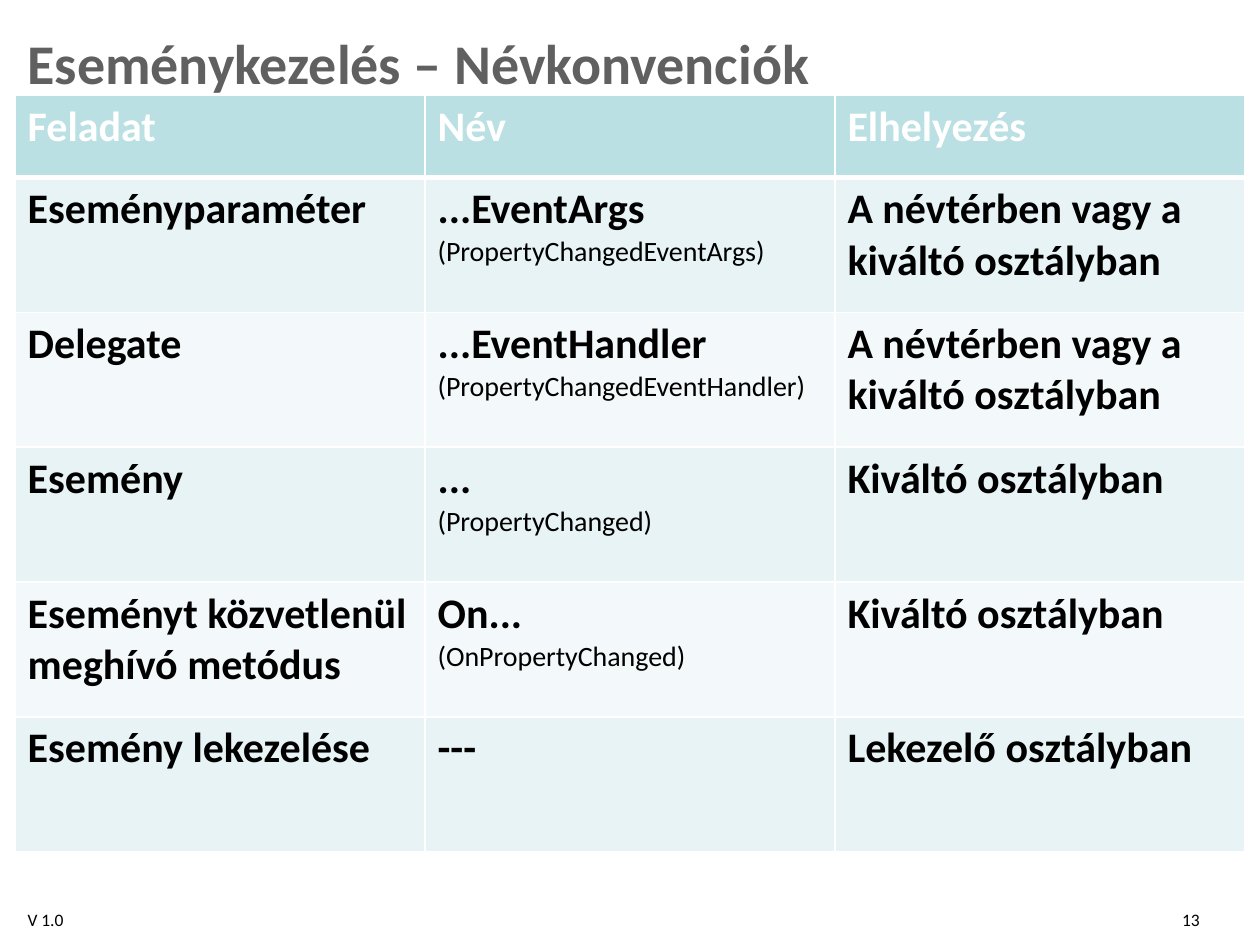
"""Builds a slide with a table of naming conventions for event handling."""
from lxml import etree
from pptx import Presentation, util as u
from pptx.dml.color import RGBColor
from pptx.enum import text
from pptx.oxml.ns import qn

COLORS = {
    "title": "606060", "body": "000000", "white": "FFFFFF",
    "header": "BBE0E3", "odd": "E7F3F4", "even": "F3F9FA",
}
TITLE = "Eseménykezelés – Névkonvenciók"
ROWS = [
    [["Feladat"], ["Név"], ["Elhelyezés"]],
    [["Eseményparaméter"], ["...EventArgs", "(PropertyChangedEventArgs)"],
     ["A névtérben vagy a kiváltó osztályban"]],
    [["Delegate"], ["...EventHandler", "(PropertyChangedEventHandler)"],
     ["A névtérben vagy a kiváltó osztályban"]],
    [["Esemény"], ["...", "(PropertyChanged)"], ["Kiváltó osztályban"]],
    [["Eseményt közvetlenül meghívó metódus"], ["On...", "(OnPropertyChanged)"],
     ["Kiváltó osztályban"]],
    [["Esemény lekezelése"], ["---"], ["Lekezelő osztályban"]],
]
LEFT, TOP, WIDTH = 0.12, 0.76, 9.76
HEADER_HEIGHT, ROW_HEIGHT = 0.65, 1.07
LABELS = [
    (TITLE, (LEFT, 0.13, WIDTH, 0.63), 32, "title", True, "LEFT"),
    ("V 1.0", (LEFT, 7.18, 0.79, 0.2), 10, "body", False, "LEFT"),
    ("13", (8.31, 7.18, 1.31, 0.2), 10, "body", False, "RIGHT"),
]


def write(para, words, size, color, bold, align="LEFT"):
    para.alignment = getattr(text.PP_ALIGN, align)
    span = para.add_run()
    span.text = words
    for name, value in {"name": "Calibri", "size": u.Pt(size), "bold": bold}.items():
        setattr(span.font, name, value)
    span.font.color.rgb = RGBColor.from_string(COLORS[color])


def add_label(page, words, place, size, color, bold, align):
    frame = page.shapes.add_textbox(*map(u.Inches, place)).text_frame
    layout = {"word_wrap": True, "margin_top": 0, "margin_bottom": 0,
              "vertical_anchor": text.MSO_ANCHOR.BOTTOM}
    for name, value in layout.items():
        setattr(frame, name, value)
    write(frame.paragraphs[0], words, size, color, bold, align)


def add_borders(cell, widths):
    properties = cell._tc.get_or_add_tcPr()
    for index, (side, width) in enumerate(widths.items()):
        line = etree.Element(qn(f"a:ln{side}"), w=str(u.Pt(width)))
        fill = etree.SubElement(line, qn("a:solidFill"))
        etree.SubElement(fill, qn("a:srgbClr"), val=COLORS["white"])
        properties.insert(index, line)


def fill_cell(cell, lines, row):
    shade = "header" if row == 0 else "odd" if row % 2 else "even"
    cell.fill.solid()
    cell.fill.fore_color.rgb = RGBColor.from_string(COLORS[shade])
    add_borders(cell, {"L": 1, "R": 1, "T": 3 if row == 1 else 1, "B": 3 if row == 0 else 1})
    for index, words in enumerate(lines):
        frame = cell.text_frame
        para = frame.add_paragraph() if index else frame.paragraphs[0]
        write(para, words, 16 if index else 24, "body" if row else "white", index == 0)


def add_conventions(page):
    heights = [HEADER_HEIGHT] + [ROW_HEIGHT] * (len(ROWS) - 1)
    place = map(u.Inches, (LEFT, TOP, WIDTH, sum(heights)))
    table = page.shapes.add_table(len(ROWS), len(ROWS[0]), *place).table
    for row, (cells, height) in enumerate(zip(ROWS, heights)):
        table.rows[row].height = u.Inches(height)
        for column, lines in enumerate(cells):
            fill_cell(table.cell(row, column), lines, row)


def main():
    deck = Presentation()
    deck.slide_width, deck.slide_height = u.Inches(10), u.Inches(7.5)
    page = deck.slides.add_slide(deck.slide_layouts[6])
    for label in LABELS:
        add_label(page, *label)
    add_conventions(page)
    deck.save("out.pptx")


if __name__ == "__main__":
    main()
